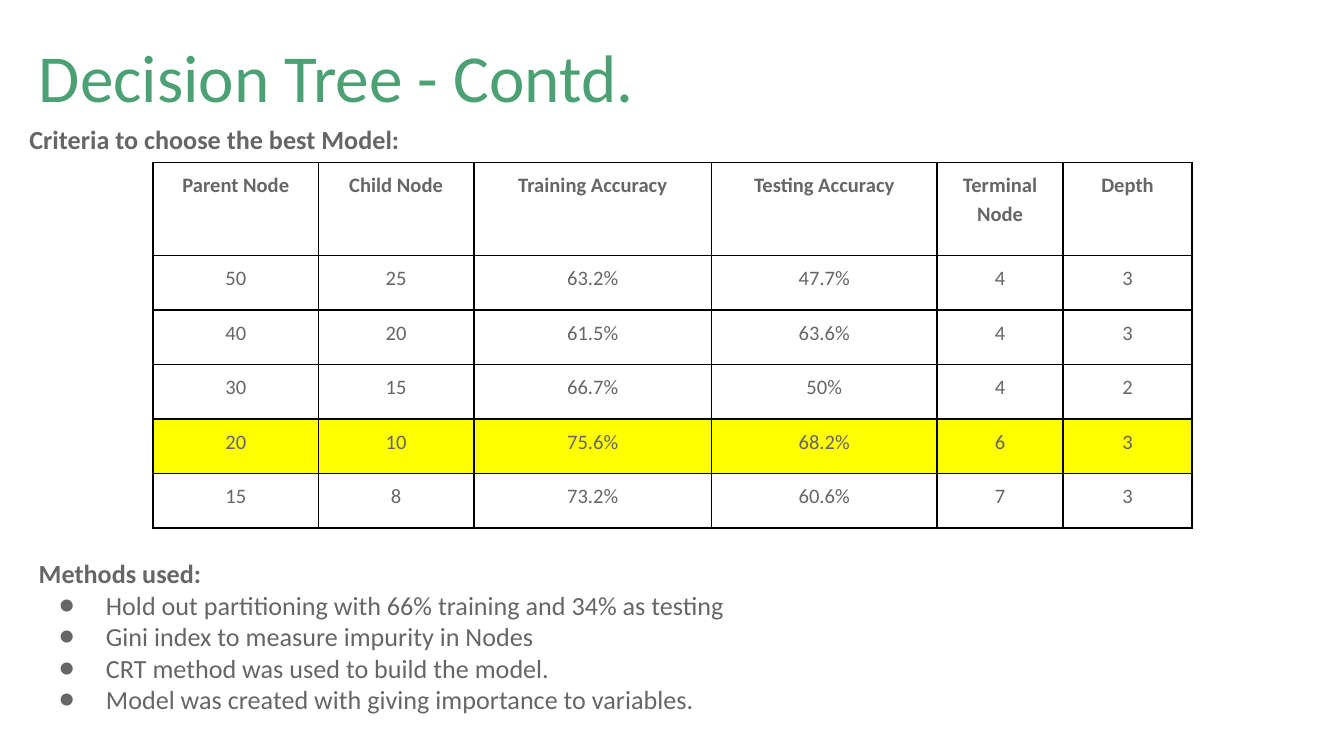
from dataclasses import dataclass

from lxml import etree
from pptx import Presentation
from pptx import util as u
from pptx.dml.color import RGBColor
from pptx.enum import text
from pptx.oxml import ns

TITLE = "Decision Tree - Contd."
CRITERIA = "Criteria to choose the best Model:"
METHODS = "Methods used:"
METHOD_ITEMS = [
    "Hold out partitioning with 66% training and 34% as testing",
    "Gini index to measure impurity in Nodes",
    "CRT method was used to build the model.",
    "Model was created with giving importance to variables.",
]
MODELS = [
    ("Parent Node", "Child Node", "Training Accuracy", "Testing Accuracy", "Terminal Node", "Depth"),
    ("50", "25", "63.2%", "47.7%", "4", "3"),
    ("40", "20", "61.5%", "63.6%", "4", "3"),
    ("30", "15", "66.7%", "50%", "4", "2"),
    ("20", "10", "75.6%", "68.2%", "6", "3"),
    ("15", "8", "73.2%", "60.6%", "7", "3"),
]
BEST_MODEL = 4

WIDTH = 10
HEIGHT = WIDTH * 9 / 16
LEFT = 0.19
METHODS_TOP = 4.05
TABLE_LEFT, TABLE_TOP, TABLE_WIDTH, TABLE_HEIGHT = 1.14, 1.21, 7.73, 2.72
COLUMN_SHARES = [1.23, 1.16, 1.77, 1.68, 0.94, 0.96]
COLUMNS = [TABLE_WIDTH * share / sum(COLUMN_SHARES) for share in COLUMN_SHARES]
HEADER_HEIGHT = 0.69
MODEL_COUNT = len(MODELS) - 1
ROWS = [HEADER_HEIGHT] + [(TABLE_HEIGHT - HEADER_HEIGHT) / MODEL_COUNT] * MODEL_COUNT


@dataclass(frozen=True)
class Theme:
    font: str = "Calibri"
    title: str = "4BA173"
    body: str = "666666"
    border: str = "000000"
    highlight: str = "FFFF00"
    title_size: float = 36
    body_size: float = 14
    table_size: float = 11
    border_width: float = 0.96


theme = Theme()


def style(para, size, color, bold=False):
    for span in para.runs:
        span.font.name = theme.font
        span.font.size = u.Pt(size)
        span.font.bold = bold
        span.font.color.rgb = RGBColor.from_string(color)


def add_text(page, left, top, width, height, lines):
    box = page.shapes.add_textbox(*map(u.Inches, (left, top, width, height)))
    frame = box.text_frame
    frame.word_wrap = True
    frame.margin_left = frame.margin_right = u.Inches(0.1)
    frame.margin_top = frame.margin_bottom = u.Inches(0.1)
    frame.text = "\n".join(lines)
    return frame.paragraphs


def add_bullet(para):
    props = para._p.get_or_add_pPr()
    props.set("marL", str(u.Inches(0.5)))
    props.set("indent", str(u.Inches(-0.35)))
    color = etree.SubElement(props, ns.qn("a:buClr"))
    etree.SubElement(color, ns.qn("a:srgbClr"), val=theme.body)
    etree.SubElement(props, ns.qn("a:buFont"), typeface=theme.font)
    etree.SubElement(props, ns.qn("a:buChar"), char="●")


def add_borders(cell):
    props = cell._tc.get_or_add_tcPr()
    for index, side in enumerate(("lnL", "lnR", "lnT", "lnB")):
        line = etree.Element(ns.qn(f"a:{side}"), w=str(u.Pt(theme.border_width)))
        fill = etree.SubElement(line, ns.qn("a:solidFill"))
        etree.SubElement(fill, ns.qn("a:srgbClr"), val=theme.border)
        props.insert(index, line)


def fill_cell(cell, value, header, best):
    cell.margin_left = cell.margin_right = u.Inches(0.07)
    cell.margin_top = cell.margin_bottom = u.Inches(0.05)
    if best:
        cell.fill.solid()
        cell.fill.fore_color.rgb = RGBColor.from_string(theme.highlight)
    else:
        cell.fill.background()
    add_borders(cell)
    para = cell.text_frame.paragraphs[0]
    para.text = value
    para.alignment = text.PP_ALIGN.CENTER
    para.line_spacing = 1.15
    style(para, theme.table_size, theme.body, header)


def add_models(page):
    frame = page.shapes.add_table(
        len(ROWS), len(COLUMNS),
        *map(u.Inches, (TABLE_LEFT, TABLE_TOP, TABLE_WIDTH, TABLE_HEIGHT)),
    )
    table = frame.table
    table.first_row = table.horz_banding = False
    for column, width in zip(table.columns, COLUMNS):
        column.width = u.Inches(width)
    for row, height in zip(table.rows, ROWS):
        row.height = u.Inches(height)
    for r, values in enumerate(MODELS):
        for c, value in enumerate(values):
            fill_cell(table.cell(r, c), value, r == 0, r == BEST_MODEL)


def main():
    deck = Presentation()
    deck.slide_width, deck.slide_height = u.Inches(WIDTH), u.Inches(HEIGHT)
    page = deck.slides.add_slide(deck.slide_layouts[6])

    add_models(page)

    criteria = add_text(page, 0.12, 0.82, 6.31, 0.4, [CRITERIA])[0]
    style(criteria, theme.body_size, theme.body, True)

    heading, *items = add_text(
        page, LEFT, METHODS_TOP, 8.43, HEIGHT - METHODS_TOP, [METHODS, *METHOD_ITEMS]
    )
    style(heading, theme.body_size, theme.body, True)
    for item in items:
        style(item, theme.body_size, theme.body)
        add_bullet(item)

    title = add_text(page, LEFT, 0.07, 9.32, 0.63, [TITLE])[0]
    title.line_spacing = 1.15
    title.space_after = u.Pt(16)
    style(title, theme.title_size, theme.title)

    deck.save("out.pptx")


if __name__ == "__main__":
    main()
